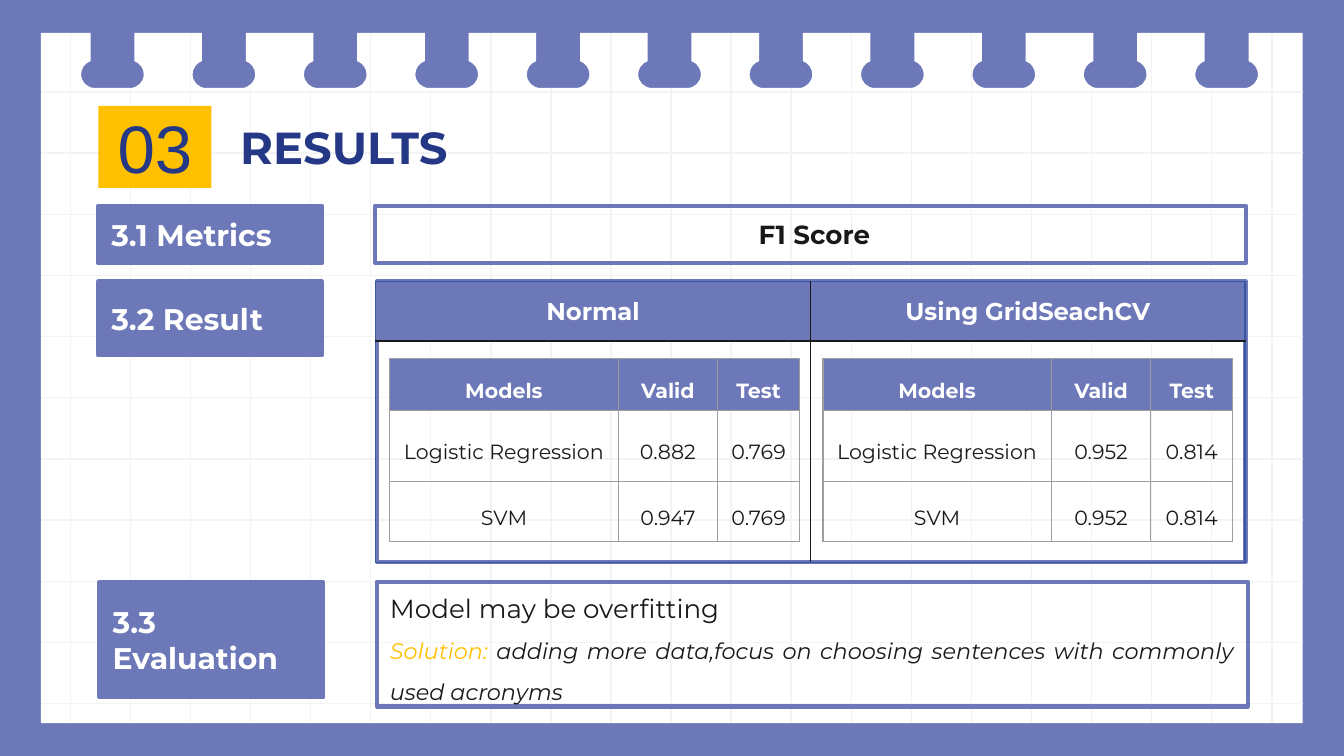
from lxml import etree
from pptx import Presentation
from pptx.dml.color import RGBColor
from pptx.enum.shapes import MSO_CONNECTOR, MSO_SHAPE
from pptx.enum.text import MSO_ANCHOR, PP_ALIGN
from pptx.oxml.ns import qn
from pptx.util import Emu, Inches, Pt

VIOLET = RGBColor(0x6D, 0x78, 0xB9)
NAVY = RGBColor(0x24, 0x38, 0x85)
EDGE_BLUE = RGBColor(0x39, 0x56, 0xA3)
AMBER = RGBColor(0xFF, 0xC0, 0x00)
INK = RGBColor(0x19, 0x19, 0x19)
GREY = RGBColor(0x9E, 0x9E, 0x9E)
PALE = RGBColor(0xF3, 0xF3, 0xF3)
WHITE = RGBColor(0xFF, 0xFF, 0xFF)
LEFT, CENTER, JUSTIFY = PP_ALIGN.LEFT, PP_ALIGN.CENTER, PP_ALIGN.JUSTIFY
MIDDLE, BOTTOM = MSO_ANCHOR.MIDDLE, MSO_ANCHOR.BOTTOM
RECTANGLE, STRAIGHT = MSO_SHAPE.RECTANGLE, MSO_CONNECTOR.STRAIGHT
FONT = "Montserrat"

deck = Presentation()
deck.slide_width, deck.slide_height = Inches(10), Inches(5.625)
UNIT = deck.slide_width / 100
page = deck.slides.add_slide(deck.slide_layouts[6])
page.background.fill.solid()
page.background.fill.fore_color.rgb = VIOLET


def add_box(place, text="", size=16, color=WHITE, fill=None, line=None,
            align=LEFT, anchor=MIDDLE, font=FONT, bold=True):
    box = page.shapes.add_shape(RECTANGLE, *[Emu(int(n * UNIT)) for n in place])
    box.shadow.inherit = False
    for paint, color_wanted in ((box.fill, fill), (box.line.fill, line)):
        if color_wanted is None:
            paint.background()
        else:
            paint.solid()
            paint.fore_color.rgb = color_wanted
    if line is not None:
        box.line.width = Pt(2.25)
    frame = box.text_frame
    frame.word_wrap = True
    frame.vertical_anchor = anchor
    frame.margin_left = frame.margin_right = Inches(0.1)
    frame.margin_top = frame.margin_bottom = Inches(0.1)
    para = frame.paragraphs[0]
    para.text, para.alignment = text, align
    para.font.name, para.font.size, para.font.bold = font, Pt(size), bold
    para.font.color.rgb = color
    return box


def add_grid(left, top, widths, heights, rows, size, spacing, margins, edge, inside):
    place = (left, top, sum(widths), sum(heights))
    table = page.shapes.add_table(len(heights), len(widths),
                                  *[Emu(int(n * UNIT)) for n in place]).table
    table.first_row = table.horz_banding = False
    for column, width in zip(table.columns, widths):
        column.width = Emu(int(width * UNIT))
    for row, height in zip(table.rows, heights):
        row.height = Emu(int(height * UNIT))
    last_row, last_column = len(heights) - 1, len(widths) - 1
    for r, texts in enumerate(rows):
        for c, text in enumerate(texts):
            cell = table.cell(r, c)
            if r == 0:
                cell.fill.solid()
                cell.fill.fore_color.rgb = VIOLET
            else:
                cell.fill.background()
            cell.vertical_anchor = MIDDLE
            cell.margin_left = cell.margin_right = Inches(margins[0])
            cell.margin_top = cell.margin_bottom = Inches(margins[1])
            para = cell.text_frame.paragraphs[0]
            para.text, para.alignment, para.line_spacing = text, CENTER, spacing
            para.font.name, para.font.size, para.font.bold = FONT, Pt(size), r == 0
            para.font.color.rgb = WHITE if r == 0 else INK
            properties = cell._tc.get_or_add_tcPr()
            sides = (("a:lnL", c == 0), ("a:lnR", c == last_column),
                     ("a:lnT", r == 0), ("a:lnB", r == last_row))
            for index, (tag, outer) in enumerate(sides):
                color, width = edge if outer else inside
                border = etree.Element(qn(tag), w=str(Pt(width)))
                paint = etree.SubElement(border, qn("a:solidFill"))
                etree.SubElement(paint, qn("a:srgbClr"), val=str(color))
                properties.insert(index, border)


SHEET_LEFT, SHEET_TOP, SHEET_RIGHT, SHEET_BOTTOM = 3.05, 2.45, 96.93, 53.8
FOOT_HALF, FOOT_BOTTOM = 2.33, 6.55
rings = [8.37 + 8.29 * i for i in range(11)]

neck = [(1.63, SHEET_TOP), (1.63, 4.55)]
foot = [(2.05, 4.7), (FOOT_HALF, 5.1), (FOOT_HALF, 5.53),
        (FOOT_HALF, 6.1), (1.87, FOOT_BOTTOM), (1.3, FOOT_BOTTOM)]
right_half = neck + foot
ring_outline = right_half + [(-x, y) for x, y in reversed(right_half)]
RIGHT_CURVES, LEFT_CURVES = (2, 5), (9, 12)

outline = [(SHEET_RIGHT, SHEET_BOTTOM), (SHEET_RIGHT, SHEET_TOP)]
curve_starts = []
for ring in reversed(rings):
    curve_starts += [len(outline) + n for n in RIGHT_CURVES + LEFT_CURVES]
    outline += [(ring + x, y) for x, y in ring_outline]
outline.append((SHEET_LEFT, SHEET_TOP))
builder = page.shapes.build_freeform(int(SHEET_LEFT * UNIT), int(SHEET_BOTTOM * UNIT))
builder.add_line_segments([(int(x * UNIT), int(y * UNIT)) for x, y in outline])
sheet = builder.convert_to_shape()
sheet.shadow.inherit = False
sheet.fill.solid()
sheet.fill.fore_color.rgb = WHITE
sheet.line.fill.background()
segments = list(sheet._element.iter(qn("a:lnTo")))
for start in curve_starts:
    curve = etree.Element(qn("a:cubicBezTo"))
    segments[start].addprevious(curve)
    for segment in segments[start:start + 3]:
        curve.append(segment[0])
        segment.getparent().remove(segment)

rules = []
for i in range(21):
    x = 5.23 + 4.47 * i
    under_ring = any(abs(x - ring) < FOOT_HALF for ring in rings)
    rules.append((x, FOOT_BOTTOM if under_ring else SHEET_TOP, x, SHEET_BOTTOM))
for i in range(11):
    y = 6.85 + 4.55 * i
    rules.append((SHEET_RIGHT, y, SHEET_LEFT, y))
for ends in rules:
    rule = page.shapes.add_connector(STRAIGHT, *[Emu(int(n * UNIT)) for n in ends])
    rule.line.color.rgb = PALE
    rule.line.width = Pt(0.75)
    etree.SubElement(rule._element.spPr, qn("a:effectLst"))

add_box((13.93, 7.3, 23.3, 6.6), "RESULTS", 24, NAVY, align=CENTER, anchor=BOTTOM)
add_box((7.33, 7.88, 8.4, 6.1), "03", 36, NAVY, AMBER, align=CENTER, font="Arial", bold=False)

for text, left, top, height in (("3.1 Metrics", 7.3, 15.32, 4.25),
                                ("3.2 Result", 7.3, 20.95, 5.5),
                                ("3.3 Evaluation", 7.4, 43.3, 8.6)):
    add_box((left, top, 16.65, height), text, fill=VIOLET, line=VIOLET)

add_box((27.92, 15.32, 64.8, 4.25), " F1 Score", 14, INK, line=VIOLET, align=CENTER)
add_box((28.08, 20.9, 64.6, 20.9), line=VIOLET)
add_grid(27.95, 20.95, (32.35, 32.35), (4.43, 16.5),
         (("Normal", "Using GridSeachCV"), ("", "")),
         13, 1, (0.08, 0.04), (EDGE_BLUE, 0.75), (INK, 1))

for left, regression, svm in ((61.23, ("0.952", "0.814"), ("0.952", "0.814")),
                              (29, ("0.882", "0.769"), ("0.947", "0.769"))):
    add_grid(left, 26.7, (17, 7.4, 6.1), (3.85, 5.27, 4.47),
             (("Models", "Valid", "Test"), ("Logistic Regression", *regression), ("SVM", *svm)),
             11, 1.5, (0.06, 0), (GREY, 0.75), (GREY, 0.75))

evaluation = add_box((28.03, 43.28, 64.8, 9.3), "Model may be overfitting", 14, INK,
                     line=VIOLET, bold=False)
evaluation.text_frame.paragraphs[0].line_spacing = 1.29
para = evaluation.text_frame.add_paragraph()
para.alignment, para.line_spacing = JUSTIFY, 1.5
para.font.name, para.font.size, para.font.italic = FONT, Pt(12), True
for text, color in (
    ("Solution: ", AMBER),
    ("adding more data,focus on choosing sentences with commonly used acronyms", INK),
):
    span = para.add_run()
    span.text = text
    span.font.color.rgb = color

deck.save("out.pptx")
